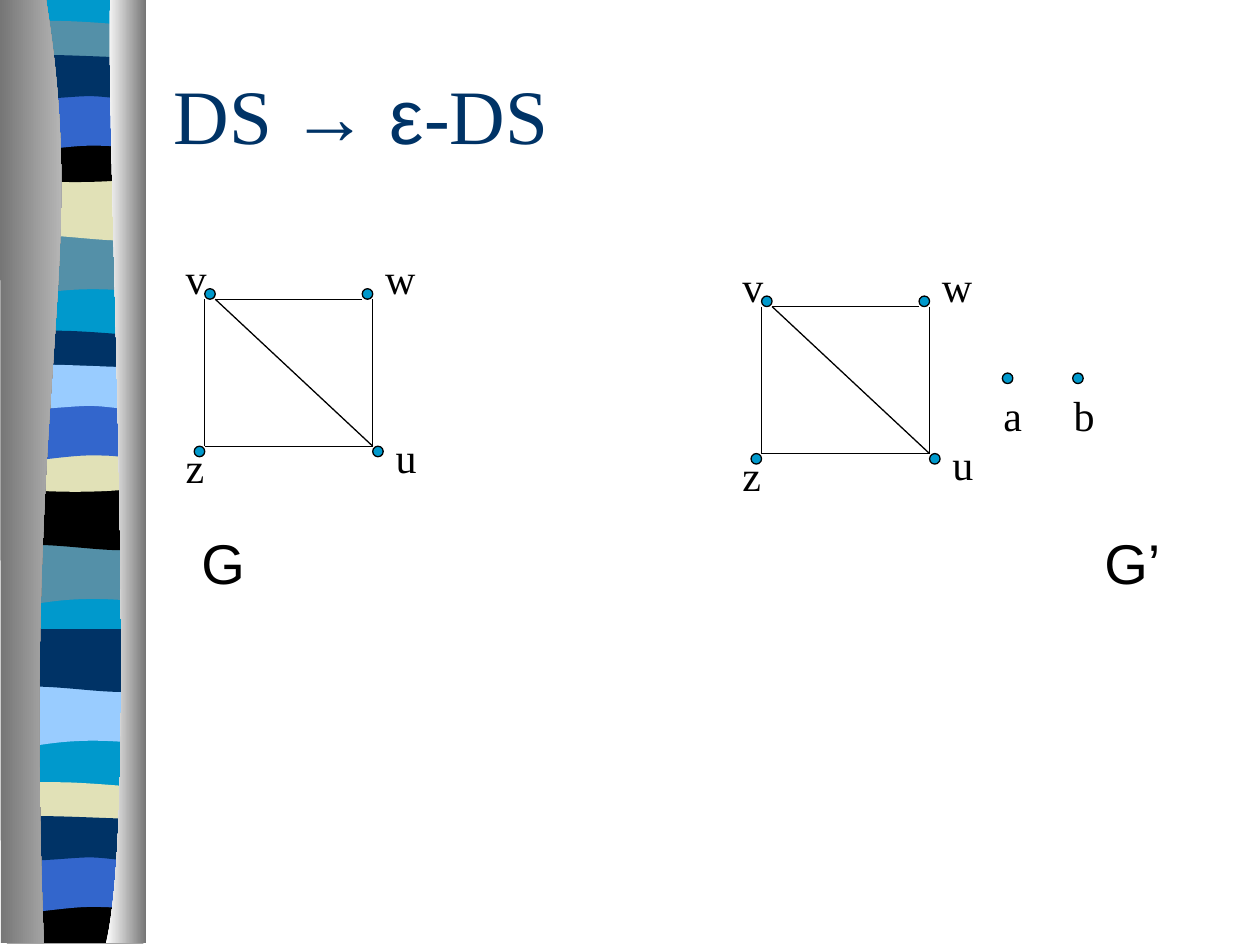
import lxml.etree
import pptx
import pptx.dml.color
import pptx.enum.shapes
import pptx.enum.text
import pptx.oxml.ns
import pptx.util

Pt = pptx.util.Pt
RGBColor = pptx.dml.color.RGBColor
qn = pptx.oxml.ns.qn

CYAN = RGBColor(0x00, 0x99, 0xCC)
TEAL = RGBColor(0x54, 0x90, 0xA8)
SAND = RGBColor(0xE1, 0xE1, 0xB7)
BLUE = RGBColor(0x33, 0x66, 0xCC)
NAVY = RGBColor(0x00, 0x33, 0x66)
SKY = RGBColor(0x99, 0xCC, 0xFF)
BLACK = RGBColor(0x00, 0x00, 0x00)
GRAY = RGBColor(0x76, 0x76, 0x76)
LIGHT_GRAY = RGBColor(0xD4, 0xD4, 0xD4)
WHITE = RGBColor(0xFF, 0xFF, 0xFF)

SERIF = "Times New Roman"
SANS = "Arial"
DOT = 6

# Outlines: a start point, then (x, y) for a line or three points for a curve.
BAND_WIDTH = 78
BANDS = {
    "sag": [(78, 0), (78, 34), ((24, 28), (13, 40), (0, 34)), (0, 0)],
    "swell": [(78, 0), (78, 34), ((65, 40), (24, 29.5), (0, 34)), (0, 0)],
    "shallow": [(78, 0), (78, 17), ((65, 20), (13, 20), (0, 17)), (0, 0),
                ((4, -3.6), (17, -3), (30, -3)), ((43, -3), (68, -0.7), (78, 0))],
    "bowl": [(78, 0), (78, 23), ((65, 27), (13, 27), (0, 23)), (0, 0),
             ((47, 3.6), (61, 0), (78, 0))],
    "foot": [(78, 0), (78, 26), (0, 26), (0, 0), ((47, 3.6), (61, 0), (78, 0))],
    "arch": [(78, 0), (78, 34), ((65, 30), (60, 30), (47, 30)),
             ((35, 30), (12, 34), (0, 34)), (0, 0)],
    "ripple": [(78, 0), (78, 22), ((73, 26), (60, 22), (47, 22)),
               ((35, 22), (8, 26), (0, 22)), (0, 0), ((11, -3.6), (53, 0), (78, 0))],
}
BAND_TOPS = {"sag": 133, "swell": 101.5, "shallow": 15, "bowl": 78,
             "foot": 78, "arch": 53.3, "ripple": 33}
# Each run of bands: its shift down the ribbon and its colours.
BAND_RUNS = [
    (0, {"sag": TEAL, "swell": SAND, "shallow": TEAL, "bowl": BLACK,
         "arch": BLUE, "ripple": NAVY}),
    (177, {"sag": TEAL, "swell": BLACK, "shallow": NAVY, "bowl": SAND,
           "arch": BLUE, "ripple": SKY}),
    (258, {"sag": SKY, "swell": NAVY}),
    (435, {"shallow": SAND, "foot": BLACK, "arch": BLUE, "ripple": NAVY}),
]
LEFT_DRAPE = [(26.3, 0), ((51.5, 156), (12.5, 213), (25, 539)), (0.5, 539), (0, 0)]
RIGHT_DRAPE = [(63, 0), ((60.5, 90), (80, 465), (60.5, 539)), (83.5, 539), (83.5, 0)]

CORNERS = {"v": (0, 0), "w": (90, 0), "z": (-6, 90), "u": (96, 90)}
CORNER_LABELS = {"v": (-18, -24), "w": (96, -24), "u": (102, 78), "z": (-18, 84)}
EDGES = [((6, 6), (90, 6)), ((96, 6), (96, 90)), ((0, 90), (96, 90)),
         ((0, 6), (0, 90)), ((6, 6), (96, 90))]


def bend_curves(shape, parts):
    """Join the three lines drawn for each curved part into one cubic curve."""
    lines = iter(list(shape._element.iter(qn("a:lnTo"))))
    for part in parts:
        line = next(lines)
        if len(part) == 2:
            continue
        curve = lxml.etree.Element(qn("a:cubicBezTo"))
        line.addprevious(curve)
        for control in (line, next(lines), next(lines)):
            curve.append(control[0])
            control.getparent().remove(control)


def add_outline(group, outline, left, top, *colors):
    """Draw an outline in one colour, or in a left-to-right gradient of two."""
    points = [outline[0]]
    for part in outline[1:]:
        points.extend([part] if len(part) == 2 else part)
    points = [(Pt(left + x), Pt(top + y)) for x, y in points]
    builder = group.shapes.build_freeform(*points[0])
    builder.add_line_segments(points[1:], close=True)
    shape = builder.convert_to_shape()
    bend_curves(shape, outline[1:])
    shape.shadow.inherit = False
    shape.line.fill.background()
    if len(colors) == 1:
        shape.fill.solid()
        shape.fill.fore_color.rgb = colors[0]
    else:
        shape.fill.gradient()
        shape.fill.gradient_angle = 0
        for stop, color in zip(shape.fill.gradient_stops, colors):
            stop.color.rgb = color


def add_ribbon(slide, left, top, height):
    group = slide.shapes.add_group_shape()
    band_left = left + 4
    base = [(0, 0), (BAND_WIDTH, 0), (BAND_WIDTH, height - 2), (0, height - 2)]
    add_outline(group, base, band_left, top, CYAN)
    for shift, colors in BAND_RUNS:
        for name, color in colors.items():
            add_outline(group, BANDS[name], band_left, top + shift + BAND_TOPS[name], color)
    add_outline(group, LEFT_DRAPE, left, top, GRAY, LIGHT_GRAY)
    add_outline(group, RIGHT_DRAPE, left, top, WHITE, GRAY)


def add_title(slide, left, top, width, height):
    title = slide.shapes.title
    title.left, title.top, title.width, title.height = map(Pt, (left, top, width, height))
    title.text_frame.vertical_anchor = pptx.enum.text.MSO_ANCHOR.MIDDLE
    paragraph = title.text_frame.paragraphs[0]
    paragraph.alignment = pptx.enum.text.PP_ALIGN.LEFT
    paragraph.font.size = Pt(44)
    paragraph.font.color.rgb = NAVY
    for text, font_name in (("DS ", SERIF), ("→ ε", SANS), ("-DS", SERIF)):
        run = paragraph.add_run()
        run.text = text
        run.font.name = font_name


def add_label(slide, text, left, top, width=36, height=36, size=24, font_name=SERIF):
    box = slide.shapes.add_textbox(Pt(left), Pt(top), Pt(width), Pt(height))
    box.text_frame.word_wrap = True
    box.text_frame.auto_size = pptx.enum.text.MSO_AUTO_SIZE.SHAPE_TO_FIT_TEXT
    paragraph = box.text_frame.paragraphs[0]
    paragraph.text = text
    paragraph.font.size = Pt(size)
    paragraph.font.name = font_name
    paragraph.font.color.rgb = BLACK


def add_dot(slide, left, top):
    dot = slide.shapes.add_shape(pptx.enum.shapes.MSO_SHAPE.OVAL,
                                 Pt(left), Pt(top), Pt(DOT), Pt(DOT))
    dot.shadow.inherit = False
    dot.fill.solid()
    dot.fill.fore_color.rgb = CYAN
    dot.line.color.rgb = BLACK
    dot.line.width = Pt(0.75)


def add_edge(slide, start, end):
    edge = slide.shapes.add_connector(pptx.enum.shapes.MSO_CONNECTOR.STRAIGHT,
                                      *map(Pt, (*start, *end)))
    edge.line.color.rgb = BLACK
    edge.line.width = Pt(0.75)
    lxml.etree.SubElement(edge._element.spPr, qn("a:effectLst"))


def add_graph(slide, left, top):
    """Draw the square graph with its v dot at the given corner."""
    for x, y in CORNERS.values():
        add_dot(slide, left + x, top + y)
    for edge in EDGES:
        add_edge(slide, *((left + x, top + y) for x, y in edge))
    for name, (x, y) in CORNER_LABELS.items():
        add_label(slide, name, left + x, top + y)


def add_isolated_vertex(slide, name, left, top):
    add_dot(slide, left, top)
    add_label(slide, name, left - 6.5, top + 6)


def main():
    presentation = pptx.Presentation()
    presentation.slide_width, presentation.slide_height = Pt(720), Pt(540)
    slide = presentation.slides.add_slide(presentation.slide_layouts[5])
    add_ribbon(slide, 0, 0, 540)
    add_title(slide, 92, 20, 612, 90)
    add_graph(slide, 117, 165)
    add_graph(slide, 435.2, 169.2)
    add_isolated_vertex(slide, "a", 572.8, 213.2)
    add_isolated_vertex(slide, "b", 613, 213.2)
    for name, left in (("G", 108), ("G’", 624)):
        add_label(slide, name, left, 298.2, 73.5, 46, 32, SANS)
    presentation.save("out.pptx")


if __name__ == "__main__":
    main()
